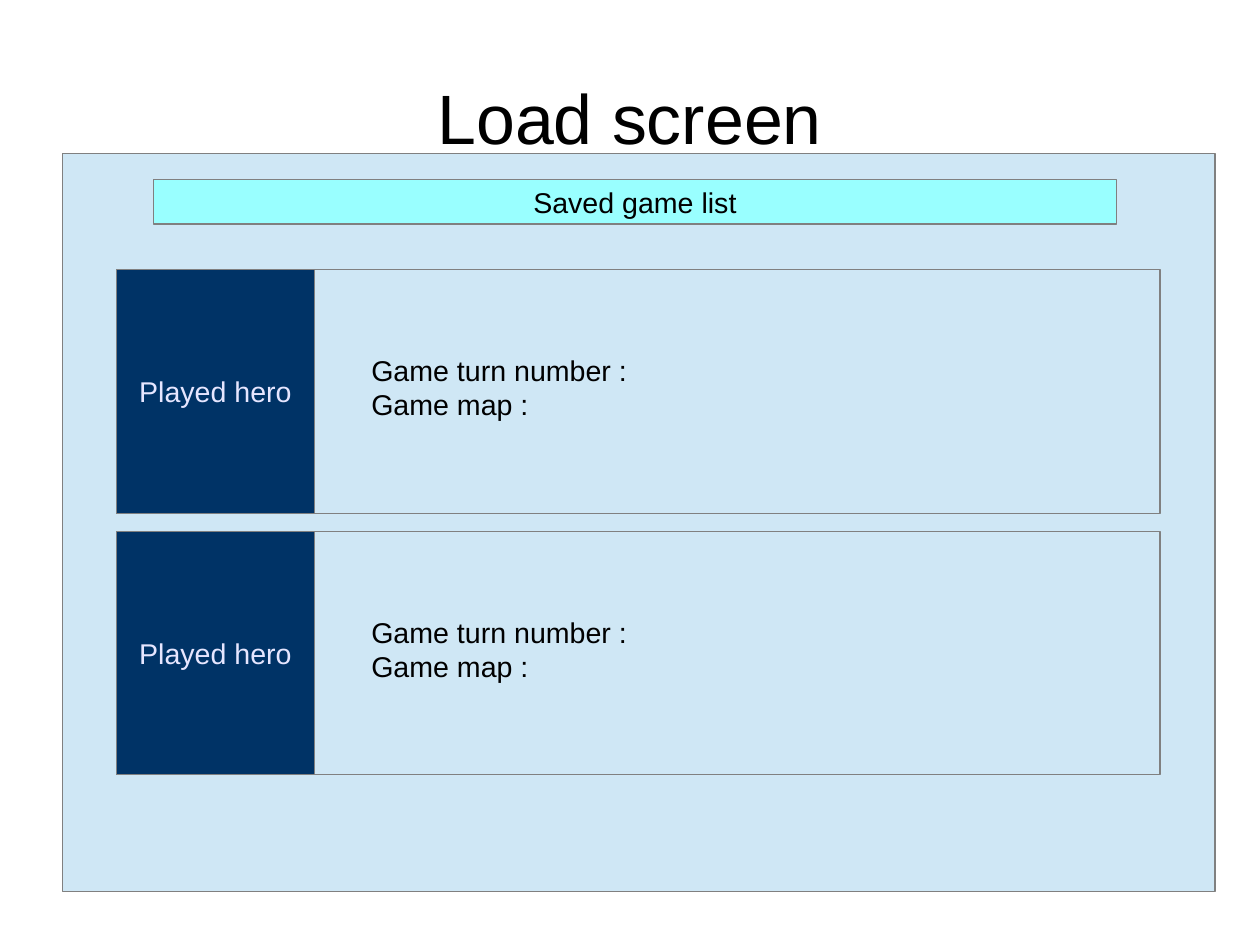
from dataclasses import dataclass

from pptx import Presentation
from pptx import util as u
from pptx.dml import color
from pptx.enum import shapes, text


@dataclass(frozen=True)
class Box:
    left: float
    top: float
    width: float
    height: float

    def emu(self) -> tuple:
        return tuple(u.Inches(v) for v in (self.left, self.top, self.width, self.height))


@dataclass(frozen=True)
class SavedGame:
    hero: str
    details: str


CM_PER_INCH = 2.54
SLIDE_WIDTH, SLIDE_HEIGHT = 28 / CM_PER_INCH, 21 / CM_PER_INCH
PALE, CYAN, NAVY, GREY = "CFE7F5", "99FFFF", "003366", "808080"
TITLE = Box(0.55, 0.33, 9.92, 1.38)
SCREEN = Box(0.55, 1.34, 10.08, 6.46)
HEADER = Box(1.34, 1.57, 8.43, 0.39)
SLOT_LEFT, SLOT_TOP, SLOT_WIDTH, SLOT_HEIGHT = 1.02, 2.36, 9.13, 2.13
SLOT_PITCH = 2.29
HERO_WIDTH = 1.73
DETAILS_LEFT, DETAILS_DROP = 3.15, 0.68
GAMES = [SavedGame("Played hero", "Game turn number :\nGame map :")] * 2


def rgb(value: str) -> color.RGBColor:
    return color.RGBColor.from_string(value)


def write(sp, content: str, *, size: float = 18, ink: str = "000000",
          align=text.PP_ALIGN.CENTER, anchor=text.MSO_ANCHOR.MIDDLE,
          margins: tuple = (0.1, 0.05)) -> None:
    tf = sp.text_frame
    tf.word_wrap = True
    tf.vertical_anchor = anchor
    tf.margin_left = tf.margin_right = u.Inches(margins[0])
    tf.margin_top = tf.margin_bottom = u.Inches(margins[1])
    tf.text = content
    for p in tf.paragraphs:
        p.alignment = align
        for r in p.runs:
            r.font.name = "Arial"
            r.font.size = u.Pt(size)
            r.font.color.rgb = rgb(ink)


def add_panel(s, box: Box, fill: str):
    sp = s.shapes.add_shape(shapes.MSO_SHAPE.RECTANGLE, *box.emu())
    sp.shadow.inherit = False
    sp.fill.solid()
    sp.fill.fore_color.rgb = rgb(fill)
    sp.line.color.rgb = rgb(GREY)
    sp.line.width = u.Pt(0)
    return sp


def add_saved_game(s, game: SavedGame, top: float) -> None:
    add_panel(s, Box(SLOT_LEFT, top, SLOT_WIDTH, SLOT_HEIGHT), PALE)
    hero = add_panel(s, Box(SLOT_LEFT, top, HERO_WIDTH, SLOT_HEIGHT), NAVY)
    write(hero, game.hero, ink="E6E6FF")
    details = s.shapes.add_textbox(*Box(DETAILS_LEFT, top + DETAILS_DROP, 6.69, 0.66).emu())
    write(details, game.details, align=text.PP_ALIGN.LEFT, anchor=text.MSO_ANCHOR.TOP)


def main() -> None:
    prs = Presentation()
    prs.slide_width, prs.slide_height = u.Inches(SLIDE_WIDTH), u.Inches(SLIDE_HEIGHT)
    s = prs.slides.add_slide(prs.slide_layouts[6])
    write(s.shapes.add_textbox(*TITLE.emu()), "Load screen", size=44, margins=(0, 0))
    add_panel(s, SCREEN, PALE)
    write(add_panel(s, HEADER, CYAN), "Saved game list")
    for i, game in enumerate(GAMES):
        add_saved_game(s, game, SLOT_TOP + i * SLOT_PITCH)
    prs.save("out.pptx")


if __name__ == "__main__":
    main()
